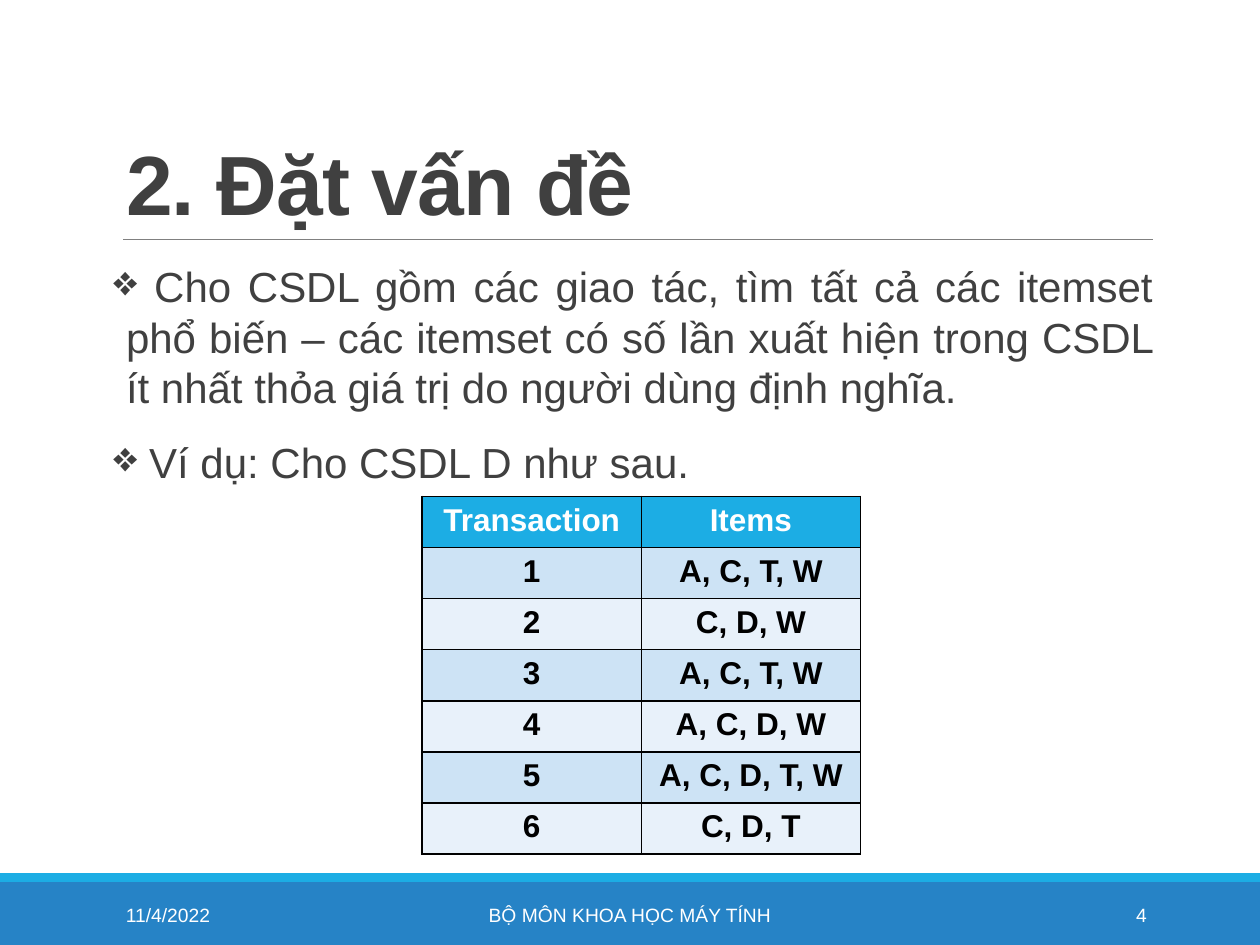
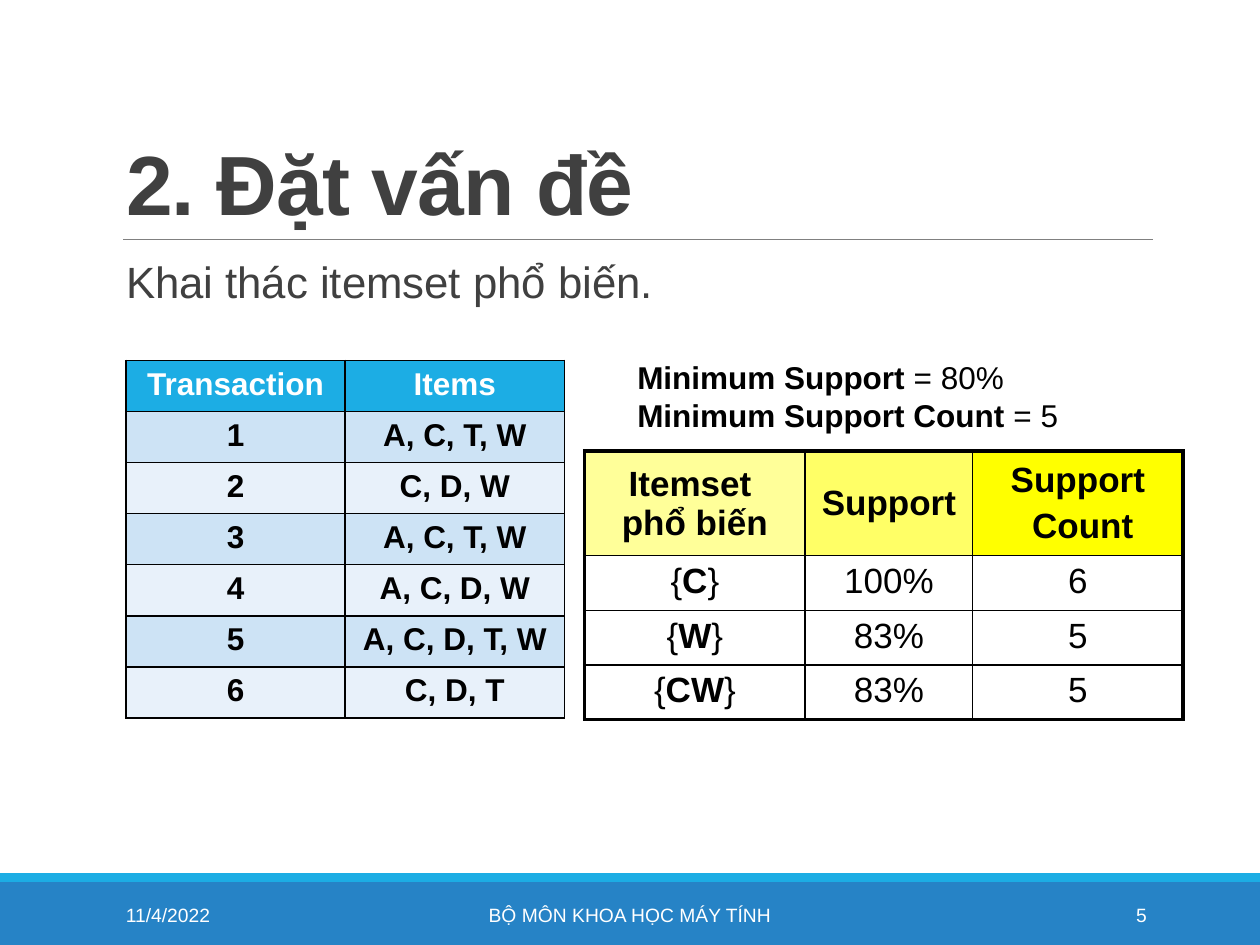
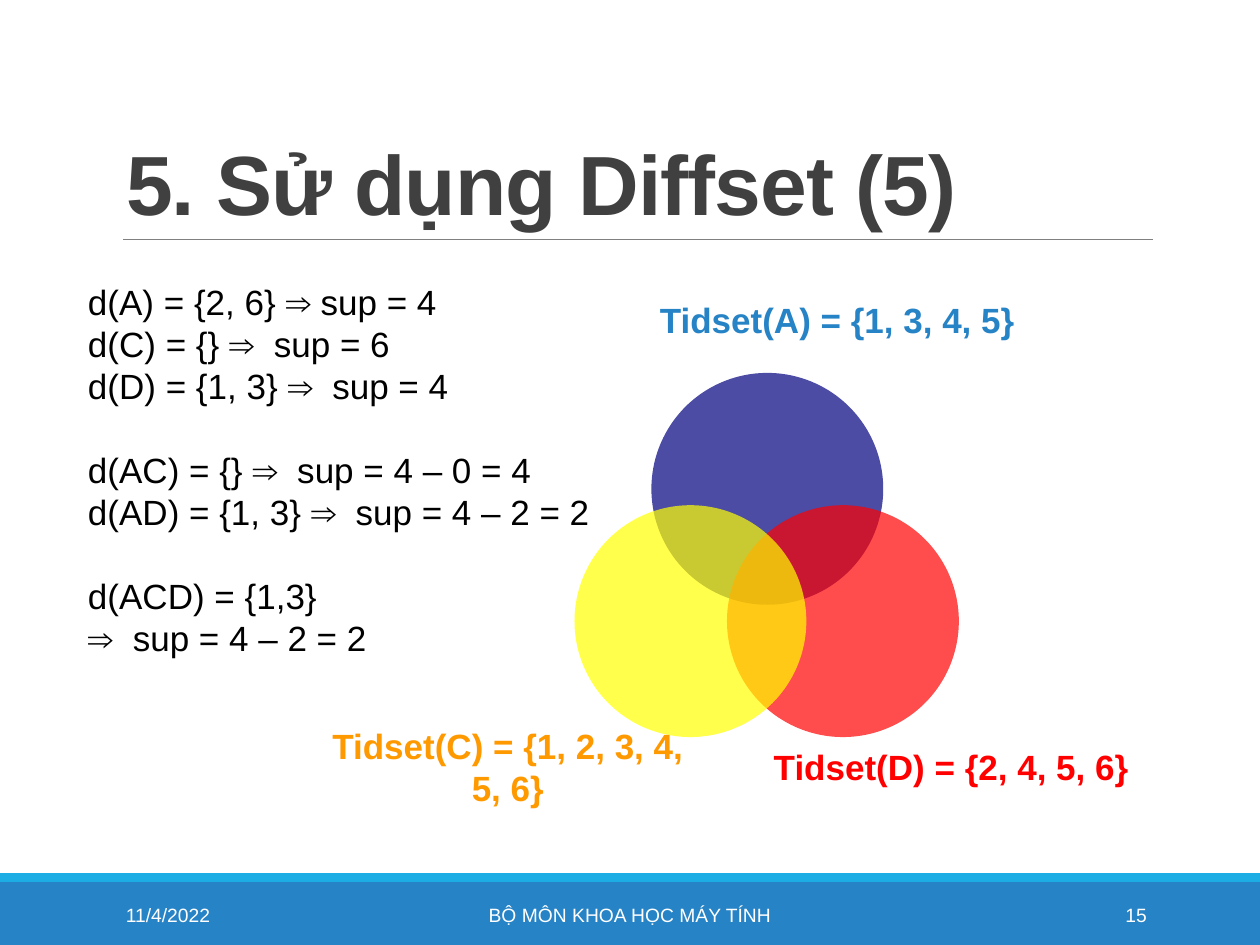
from lxml import etree
from pptx import Presentation
from pptx.dml.color import RGBColor
from pptx.enum.shapes import MSO_CONNECTOR, MSO_SHAPE
from pptx.enum.text import MSO_ANCHOR, MSO_AUTO_SIZE, PP_ALIGN
from pptx.oxml.ns import qn
from pptx.util import Inches, Pt

LEFT, CENTER, RIGHT, JUSTIFY = PP_ALIGN.LEFT, PP_ALIGN.CENTER, PP_ALIGN.RIGHT, PP_ALIGN.JUSTIFY
TOP, MIDDLE, BOTTOM = MSO_ANCHOR.TOP, MSO_ANCHOR.MIDDLE, MSO_ANCHOR.BOTTOM
NO_FIT = MSO_AUTO_SIZE.NONE
RECTANGLE, OVAL = MSO_SHAPE.RECTANGLE, MSO_SHAPE.OVAL
STRAIGHT = MSO_CONNECTOR.STRAIGHT

BLACK = RGBColor(0x00, 0x00, 0x00)
WHITE = RGBColor(0xFF, 0xFF, 0xFF)
DARK_GRAY = RGBColor(0x40, 0x40, 0x40)
RULE_GRAY = RGBColor(0x80, 0x80, 0x80)
BLUE = RGBColor(0x26, 0x83, 0xC6)
CYAN = RGBColor(0x1C, 0xAD, 0xE4)
BAND_DARK = RGBColor(0xCD, 0xE3, 0xF5)
BAND_LIGHT = RGBColor(0xE8, 0xF1, 0xFA)
NAVY = RGBColor(0x00, 0x00, 0x80)
RED = RGBColor(0xFF, 0x00, 0x00)
YELLOW = RGBColor(0xFF, 0xFF, 0x00)
YELLOW_MID = RGBColor(0xFF, 0xFF, 0x66)
YELLOW_PALE = RGBColor(0xFF, 0xFF, 0x99)
ORANGE = RGBColor(0xFF, 0x99, 0x00)

FONT = "Arial"
DATE = "11/4/2022"
DEPARTMENT = "BỘ MÔN KHOA HỌC MÁY TÍNH"

PROBLEM_TITLE = "2. Đặt vấn đề"
DIFFSET_TITLE = "5. Sử dụng Diffset (5)"
PROBLEM_POINTS = [
    " Cho CSDL gồm các giao tác, tìm tất cả các itemset phổ biến – các itemset có số lần "
    "xuất hiện trong CSDL ít nhất thỏa giá trị do người dùng định nghĩa.",
    " Ví dụ: Cho CSDL D như sau.",
]
MINING_TEXT = "Khai thác itemset phổ biến."
TRANSACTIONS = [
    ("Transaction", "Items"),
    ("1", "A, C, T, W"),
    ("2", "C, D, W"),
    ("3", "A, C, T, W"),
    ("4", "A, C, D, W"),
    ("5", "A, C, D, T, W"),
    ("6", "C, D, T"),
]
THRESHOLDS = [("Minimum Support", " = 80%"), ("Minimum Support Count", " = 5")]
SUPPORT_HEADERS = [
    (["Itemset \nphổ biến"], YELLOW_PALE),
    (["Support"], YELLOW_MID),
    (["Support", " Count"], YELLOW),
]
SUPPORT_ROWS = [("C", "100%", "6"), ("W", "83%", "5"), ("CW", "83%", "5")]
DIFFSET_GROUPS = [
    ["d(A) = {2, 6} ⇒ sup = 4\nd(C) = {} ⇒  sup = 6", "d(D) = {1, 3} ⇒  sup = 4"],
    ["d(AC) = {} ⇒  sup = 4 – 0 = 4", "d(AD) = {1, 3} ⇒  sup = 4 – 2 = 2"],
    ["d(ACD) = {1,3}", "⇒  sup = 4 – 2 = 2"],
]
CIRCLE_SIZE = 1.84
TIDSETS = [
    ("Tidset(A) = {1, 3, 4, 5}", (5.17, 2.96), NAVY, (5.17, 2.31, 2.95, 0.46), BLUE),
    ("Tidset(D) = {2, 4, 5, 6}", (5.77, 4.01), RED, (6.13, 5.85, 2.84, 0.46), RED),
    ("Tidset(C) = {1, 2, 3, 4, 5, 6}", (4.56, 4.01), YELLOW, (2.57, 5.85, 2.92, 0.46), ORANGE),
]


def inches(box):
    return [Inches(length) for length in box]


def add_run(paragraph, text, size, color, bold=False):
    for index, line in enumerate(text.split("\n")):
        if index:
            paragraph.add_line_break()
        run = paragraph.add_run()
        run.text = line
        run.font.name = FONT
        run.font.size = Pt(size)
        run.font.bold = bold
        run.font.color.rgb = color


def write(frame, paragraphs, size, color, align=LEFT, before=0):
    written = []
    for index, runs in enumerate(paragraphs):
        paragraph = frame.add_paragraph() if index else frame.paragraphs[0]
        paragraph.alignment = align
        paragraph.space_before = Pt(before)
        for text, bold in runs:
            add_run(paragraph, text, size, color, bold)
        written.append(paragraph)
    return written


def add_text_box(slide, box, anchor=TOP, wrap=True, margins=(0.1, 0.05)):
    frame = slide.shapes.add_textbox(*inches(box)).text_frame
    frame.word_wrap = wrap
    frame.vertical_anchor = anchor
    frame.margin_left = frame.margin_right = Inches(margins[0])
    frame.margin_top = frame.margin_bottom = Inches(margins[1])
    return frame


def add_filled_shape(slide, kind, box, color, opacity=None):
    shape = slide.shapes.add_shape(kind, *inches(box))
    shape.shadow.inherit = False
    shape.line.fill.background()
    shape.fill.solid()
    shape.fill.fore_color.rgb = color
    if opacity:
        color_element = shape.fill._xPr.find(qn("a:solidFill"))[0]
        etree.SubElement(color_element, qn("a:alpha"), val=str(opacity * 1000))


def add_base_slide(presentation, title_text, number):
    slide = presentation.slides.add_slide(presentation.slide_layouts[5])
    add_filled_shape(slide, RECTANGLE, (0, 7, 10, 0.5), BLUE)
    add_filled_shape(slide, RECTANGLE, (0, 6.93, 10, 0.07), CYAN)
    rule = slide.shapes.add_connector(STRAIGHT, *inches((0.98, 1.9, 9.15, 1.9)))
    rule.line.color.rgb = RULE_GRAY
    rule.line.width = Pt(0.5)
    etree.SubElement(rule._element.spPr, qn("a:effectLst"))

    title = slide.shapes.title
    title.left, title.top, title.width, title.height = inches((0.9, 0.31, 8.25, 1.59))
    frame = title.text_frame
    frame.auto_size = NO_FIT
    frame.vertical_anchor = BOTTOM
    paragraph = write(frame, [[(title_text, True)]], 48, DARK_GRAY)[0]
    paragraph.line_spacing = 0.85
    paragraph.runs[0].font._element.set("spc", "-50")

    footers = [
        (DATE, 0.9, 2.03, LEFT),
        (DEPARTMENT, 3.02, 3.96, CENTER),
        (str(number), 8.12, 1.08, RIGHT),
    ]
    for text, left, width, align in footers:
        frame = add_text_box(slide, (left, 7.06, width, 0.4), MIDDLE)
        write(frame, [[(text, False)]], 11, WHITE, align)
    return slide


def add_body(slide, texts, size, align, line_spacing, bullet=None):
    frame = add_text_box(slide, (0.9, 2.02, 8.25, 4.4), margins=(0, 0.05))
    for paragraph in write(frame, [[(text, False)] for text in texts], size, DARK_GRAY, align, 12):
        paragraph.space_after = Pt(2)
        paragraph.line_spacing = line_spacing
        properties = paragraph._p.get_or_add_pPr()
        properties.set("marL", str(Inches(0.1)))
        if bullet:
            properties.set("indent", str(-Inches(0.1)))
            etree.SubElement(properties, qn("a:buChar"), char=bullet)


def add_plain_table(slide, left, top, widths, heights):
    box = (left, top, sum(widths), sum(heights))
    table = slide.shapes.add_table(len(heights), len(widths), *inches(box)).table
    for column, width in zip(table.columns, widths):
        column.width = Inches(width)
    for row, height in zip(table.rows, heights):
        row.height = Inches(height)
    return table


def format_cell(table, row, column, color, outer_width):
    cell = table.cell(row, column)
    outer_edges = {
        "L": column == 0,
        "R": column == len(table.columns) - 1,
        "T": row == 0,
        "B": row == len(table.rows) - 1,
    }
    properties = cell._tc.get_or_add_tcPr()
    for side, is_outer in outer_edges.items():
        width = Pt(outer_width if is_outer else 1)
        border = etree.SubElement(properties, qn(f"a:ln{side}"), w=str(width))
        fill = etree.SubElement(border, qn("a:solidFill"))
        etree.SubElement(fill, qn("a:srgbClr"), val=str(BLACK))
    cell.fill.solid()
    cell.fill.fore_color.rgb = color
    return cell


def add_transaction_table(slide, left, top):
    count = len(TRANSACTIONS)
    table = add_plain_table(slide, left, top, [1.74, 1.74], [2.84 / count] * count)
    for row, values in enumerate(TRANSACTIONS):
        band = BAND_DARK if row % 2 else BAND_LIGHT
        fill, color = (band, BLACK) if row else (CYAN, WHITE)
        for column, value in enumerate(values):
            cell = format_cell(table, row, column, fill, 1)
            write(cell.text_frame, [[(value, True)]], 18, color, CENTER)


def add_support_table(slide):
    table = add_plain_table(slide, 4.64, 3.58, [1.75, 1.33, 1.67], [0.83, 0.43, 0.43, 0.43])
    for column, (lines, fill) in enumerate(SUPPORT_HEADERS):
        cell = format_cell(table, 0, column, fill, 2.25)
        cell.vertical_anchor = MIDDLE
        write(cell.text_frame, [[(line, True)] for line in lines], 20, BLACK, CENTER, 4)
    for row, (itemset, support, count) in enumerate(SUPPORT_ROWS, 1):
        itemset_runs = [("{", False), (itemset, True), ("}", False)]
        for column, runs in enumerate([itemset_runs, [(support, False)], [(count, False)]]):
            cell = format_cell(table, row, column, WHITE, 2.25)
            write(cell.text_frame, [runs], 20, BLACK, CENTER, 4)


def build_problem_slide(presentation):
    slide = add_base_slide(presentation, PROBLEM_TITLE, 4)
    add_body(slide, PROBLEM_POINTS, 24, JUSTIFY, 1.0, "❖")
    add_transaction_table(slide, 3.35, 3.94)


def build_mining_slide(presentation):
    slide = add_base_slide(presentation, PROBLEM_TITLE, 5)
    add_body(slide, [MINING_TEXT], 25, LEFT, 0.9)
    add_support_table(slide)
    frame = add_text_box(slide, (4.96, 2.79, 3.64, 0.71), wrap=False)
    write(frame, [[(name, True), (value, False)] for name, value in THRESHOLDS], 18, BLACK)
    add_transaction_table(slide, 1, 2.86)


def build_diffset_slide(presentation):
    slide = add_base_slide(presentation, DIFFSET_TITLE, 15)
    for text, position, fill, label_box, color in TIDSETS:
        add_filled_shape(slide, OVAL, (*position, CIRCLE_SIZE, CIRCLE_SIZE), fill, 70)
        frame = add_text_box(slide, label_box, MIDDLE, False, (0, 0))
        write(frame, [[(text, True)]], 20, color, CENTER)
    frame = add_text_box(slide, (0.6, 2.18, 4.24, 3.47))
    lines = [[(line, False)] for group in DIFFSET_GROUPS for line in group]
    paragraphs = write(frame, lines, 20, BLACK)
    group_start = 0
    for group in DIFFSET_GROUPS[:-1]:
        group_start += len(group)
        paragraphs[group_start].space_before = Pt(24)


def main():
    presentation = Presentation()
    presentation.slide_width = Inches(10)
    presentation.slide_height = Inches(7.5)
    build_problem_slide(presentation)
    build_mining_slide(presentation)
    build_diffset_slide(presentation)
    presentation.save("out.pptx")


if __name__ == "__main__":
    main()
